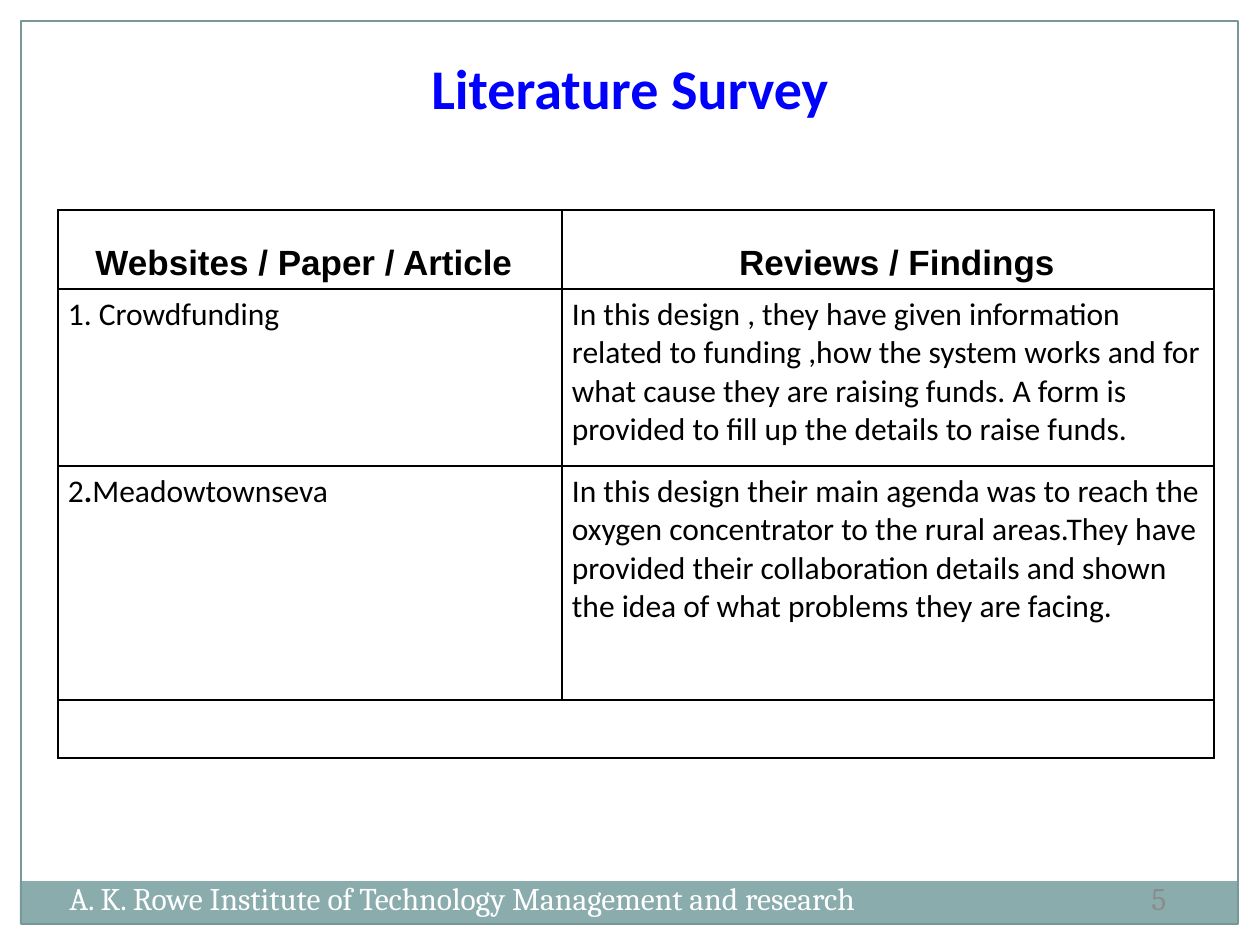
from pptx import Presentation
from pptx.dml.color import RGBColor
from pptx.enum.shapes import MSO_SHAPE
from pptx.enum.text import MSO_ANCHOR, PP_ALIGN
from pptx.oxml import parse_xml
from pptx.oxml.ns import nsdecls
from pptx.util import Pt

RECT = MSO_SHAPE.RECTANGLE
TOP, MIDDLE, BOTTOM = MSO_ANCHOR.TOP, MSO_ANCHOR.MIDDLE, MSO_ANCHOR.BOTTOM
LEFT, CENTER = PP_ALIGN.LEFT, PP_ALIGN.CENTER

# Content
TITLE = "Literature Survey"
HEADS = ["Websites / Paper / Article", "Reviews / Findings"]
ROWS = [
    (["1. Crowdfunding"],
     ["In this design , they have given information related to funding ,"
      "how the system works and for what cause they are raising funds. "
      "A form is provided to fill up the details to raise funds."]),
    (["2", ".", "Meadowtownseva"],
     ["In this design their main agenda was to reach the oxygen "
      "concentrator to the rural areas.They have provided their "
      "collaboration details and shown the idea of what problems "
      "they are facing."]),
]
FOOTER = "A. K. Rowe Institute of Technology Management and research"
NUMBER = "5"

# Theme: (font, points, colour, bold)
THEME = {
    "title": ("Calibri", 32, "0000FF", True),
    "head": ("Arial", 20, "000000", True),
    "body": ("Calibri", 18, "000000", False),
    "foot": ("Cambria", 18, "FFFFFF", False),
    "number": ("Cambria", 18, "8B8B8B", False),
    "band": "8BACAD", "frame": "7A9798", "grid": "000000",
}

# Places in px: left, top, width, height
PX = 914400 / 126
BAND = (20, 881, 1217, 43)
FRAME = (21, 21, 1217, 903)
TITLE_BOX = (63, 38, 1134, 98)
FOOT_BOX = (57, 850, 920, 95)
NUMBER_BOX = (1139, 850, 81, 95)
GRID_AT = (58, 210)
COLS = [504, 652]
HEIGHTS = [79, 177, 234, 58]
PAD = 10
HEAD_PADS = [(PAD, PAD + 12), (PAD + 18, PAD)]


def emu(*vals):
    return [round(v * PX) for v in vals]


def style(run, name):
    font = run.font
    font.name, size, color, font.bold = THEME[name]
    font.size = Pt(size)
    font.color.rgb = RGBColor.from_string(color)


def write(frame, parts, name, align=LEFT):
    para = frame.paragraphs[0]
    para.alignment = align
    for part in parts:
        run = para.add_run()
        run.text = part
        style(run, name)


def label(slide, box, text, name):
    frame = slide.shapes.add_textbox(*emu(*box)).text_frame
    frame.word_wrap = True
    frame.vertical_anchor = MIDDLE
    write(frame, [text], name)


def panel(slide, box):
    shape = slide.shapes.add_shape(RECT, *emu(*box))
    shape.shadow.inherit = False
    return shape


def border(cell):
    props = cell._tc.get_or_add_tcPr()
    for side in ("lnL", "lnR", "lnT", "lnB"):
        props.append(parse_xml(
            f'<a:{side} {nsdecls("a")} w="{Pt(1)}"><a:solidFill>'
            f'<a:srgbClr val="{THEME["grid"]}"/></a:solidFill></a:{side}>'))


def fill_cell(cell, parts, name, align=LEFT, anchor=TOP, pads=(PAD, PAD)):
    cell.margin_left, cell.margin_right = emu(*pads)
    cell.vertical_anchor = anchor
    write(cell.text_frame, parts, name, align)


def add_grid(slide):
    size = sum(COLS), sum(HEIGHTS)
    table = slide.shapes.add_table(
        len(HEIGHTS), len(COLS), *emu(*GRID_AT, *size)).table
    table.first_row = table.horz_banding = False
    for col, width in zip(table.columns, emu(*COLS)):
        col.width = width
    for row, height in zip(table.rows, emu(*HEIGHTS)):
        row.height = height
    for cell in table.iter_cells():
        border(cell)
        cell.fill.background()

    # Header row, then the findings
    for c, (head, pads) in enumerate(zip(HEADS, HEAD_PADS)):
        fill_cell(table.cell(0, c), [head], "head", CENTER, BOTTOM, pads)
    for r, row in enumerate(ROWS, 1):
        for c, parts in enumerate(row):
            fill_cell(table.cell(r, c), parts, "body")
    table.cell(2, 0).text_frame.paragraphs[0].runs[1].font.bold = True

    # Closing row across both columns
    last = len(HEIGHTS) - 1
    table.cell(last, 0).merge(table.cell(last, len(COLS) - 1))


def main():
    deck = Presentation()
    deck.slide_width, deck.slide_height = emu(1260, 945)
    slide = deck.slides.add_slide(deck.slide_layouts[5])

    # Footer band and page frame
    band = panel(slide, BAND)
    band.fill.solid()
    band.fill.fore_color.rgb = RGBColor.from_string(THEME["band"])
    band.line.fill.background()
    frame = panel(slide, FRAME)
    frame.fill.background()
    frame.line.color.rgb = RGBColor.from_string(THEME["frame"])
    frame.line.width = Pt(0.75)

    # Title
    title = slide.shapes.title
    title.left, title.top, title.width, title.height = emu(*TITLE_BOX)
    title.text_frame.vertical_anchor = MIDDLE
    write(title.text_frame, [TITLE], "title", CENTER)

    # Table and footer text
    add_grid(slide)
    label(slide, FOOT_BOX, FOOTER, "foot")
    label(slide, NUMBER_BOX, NUMBER, "number")
    deck.save("out.pptx")


if __name__ == "__main__":
    main()
